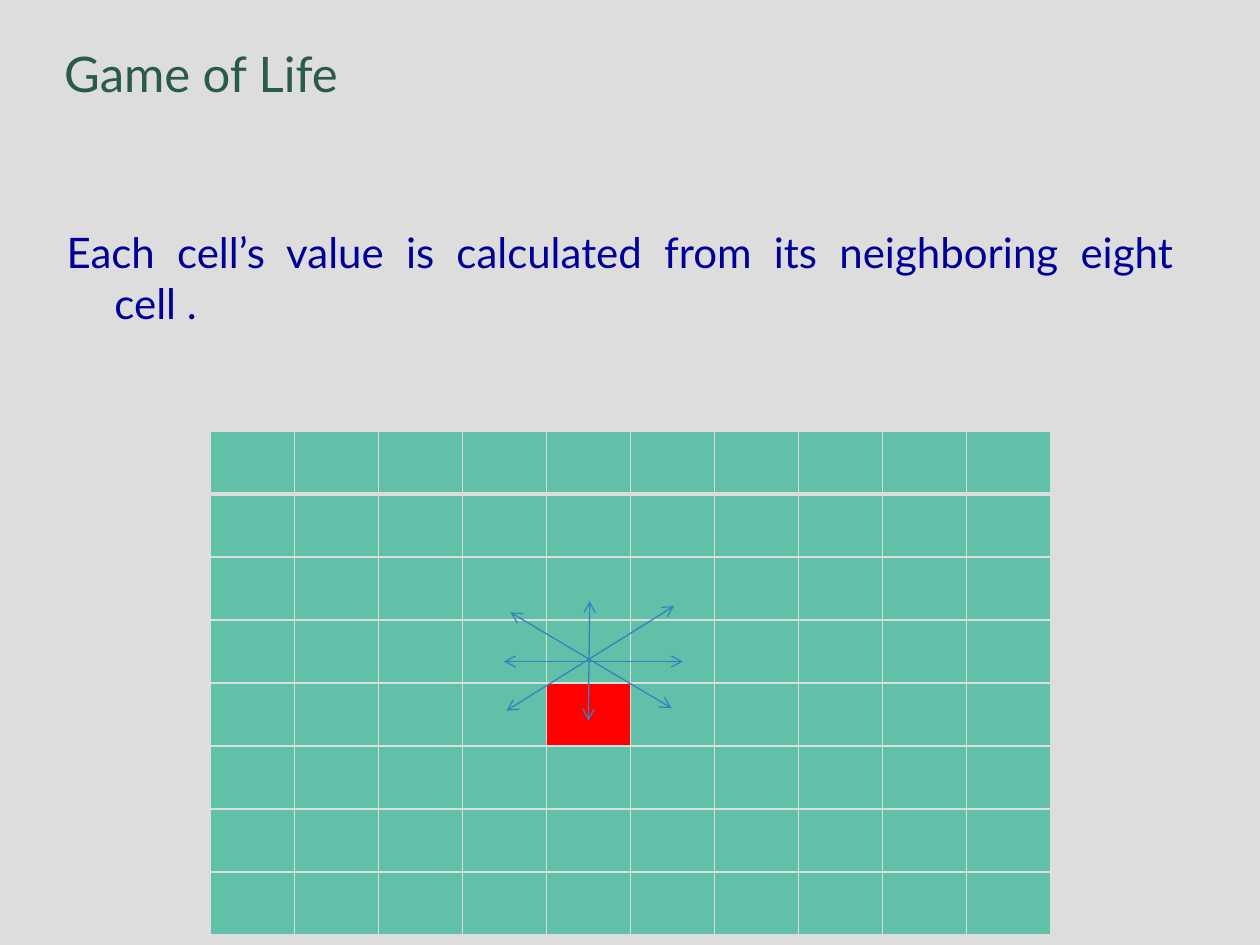
from lxml.etree import SubElement
from pptx import Presentation
from pptx.dml.color import RGBColor
from pptx.enum.shapes import MSO_CONNECTOR
from pptx.enum.text import MSO_ANCHOR, PP_ALIGN
from pptx.oxml.ns import qn
from pptx.util import Inches, Pt

GRAY = RGBColor(0xDD, 0xDD, 0xDD)
GREEN = RGBColor(0x2A, 0x59, 0x4D)
NAVY = RGBColor(0x00, 0x00, 0x99)
TEAL = RGBColor(0x61, 0xC1, 0xA8)
RED = RGBColor(0xFF, 0x00, 0x00)
BLUE = RGBColor(0x3A, 0x80, 0xC0)

ROWS, COLS = 8, 10
LIVE_CELL = (4, 4)
ARROWS = [
    (4.05, 4.86, 5.33, 5.62),
    (4.02, 5.64, 5.35, 4.81),
    (4.67, 5.72, 4.68, 4.77),
    (4.0, 5.25, 5.42, 5.25),
]


def write(p, text, size, color):
    """Add a Lato run to a paragraph."""
    r = p.add_run()
    r.text = text
    for name, value in {"name": "Lato", "size": Pt(size)}.items():
        setattr(r.font, name, value)
    r.font.color.rgb = color


def set_border(cell, side, width):
    """Draw one gray border (lnL, lnR, lnT or lnB) of a cell."""
    ln = SubElement(cell._tc.get_or_add_tcPr(), qn(f"a:{side}"), w=str(Pt(width)))
    fill = SubElement(ln, qn("a:solidFill"))
    SubElement(fill, qn("a:srgbClr"), val=str(GRAY))


prs = Presentation()
prs.slide_width, prs.slide_height = Inches(10), Inches(7.5)
s = prs.slides.add_slide(prs.slide_layouts[5])
s.background.fill.solid()
s.background.fill.fore_color.rgb = GRAY

# Title
title = s.shapes.title
title.left, title.top = Inches(0.51), Inches(0.18)
title.width, title.height = Inches(8.99), Inches(0.79)
tf = title.text_frame
for name in ("margin_left", "margin_top", "margin_right", "margin_bottom"):
    setattr(tf, name, 0)
tf.vertical_anchor = MSO_ANCHOR.MIDDLE
p = tf.paragraphs[0]
p.alignment = PP_ALIGN.LEFT
write(p, "Game of Life", 28, GREEN)

# Rule text with a hanging indent
body = s.shapes.add_textbox(Inches(0.43), Inches(1.75), Inches(8.98), Inches(1.2))
tf = body.text_frame
tf.word_wrap = True
p = tf.paragraphs[0]
p.alignment = PP_ALIGN.JUSTIFY
pPr = p._p.get_or_add_pPr()
pPr.set("marL", str(Inches(0.38)))
pPr.set("indent", str(-Inches(0.38)))
write(p, "Each cell’s value is calculated from its neighboring eight cell .", 24, NAVY)

# Cell grid, with a heavier line under the first row
table = s.shapes.add_table(ROWS, COLS, Inches(1.67), Inches(3.42),
                           Inches(6.67), Inches(4)).table
for row in range(ROWS):
    for col in range(COLS):
        cell = table.cell(row, col)
        for side in ("lnL", "lnR", "lnT", "lnB"):
            heavy = (row, side) in ((0, "lnB"), (1, "lnT"))
            set_border(cell, side, 3 if heavy else 1)
        cell.fill.solid()
        cell.fill.fore_color.rgb = RED if (row, col) == LIVE_CELL else TEAL

# Double-headed arrows to the neighbors
for ends in ARROWS:
    arrow = s.shapes.add_connector(MSO_CONNECTOR.STRAIGHT, *map(Inches, ends))
    arrow.line.color.rgb = BLUE
    arrow.line.width = Pt(0.75)
    ln = arrow.line._get_or_add_ln()
    for end in ("headEnd", "tailEnd"):
        SubElement(ln, qn(f"a:{end}"), type="arrow")
    SubElement(arrow._element.spPr, qn("a:effectLst"))

prs.save("out.pptx")
